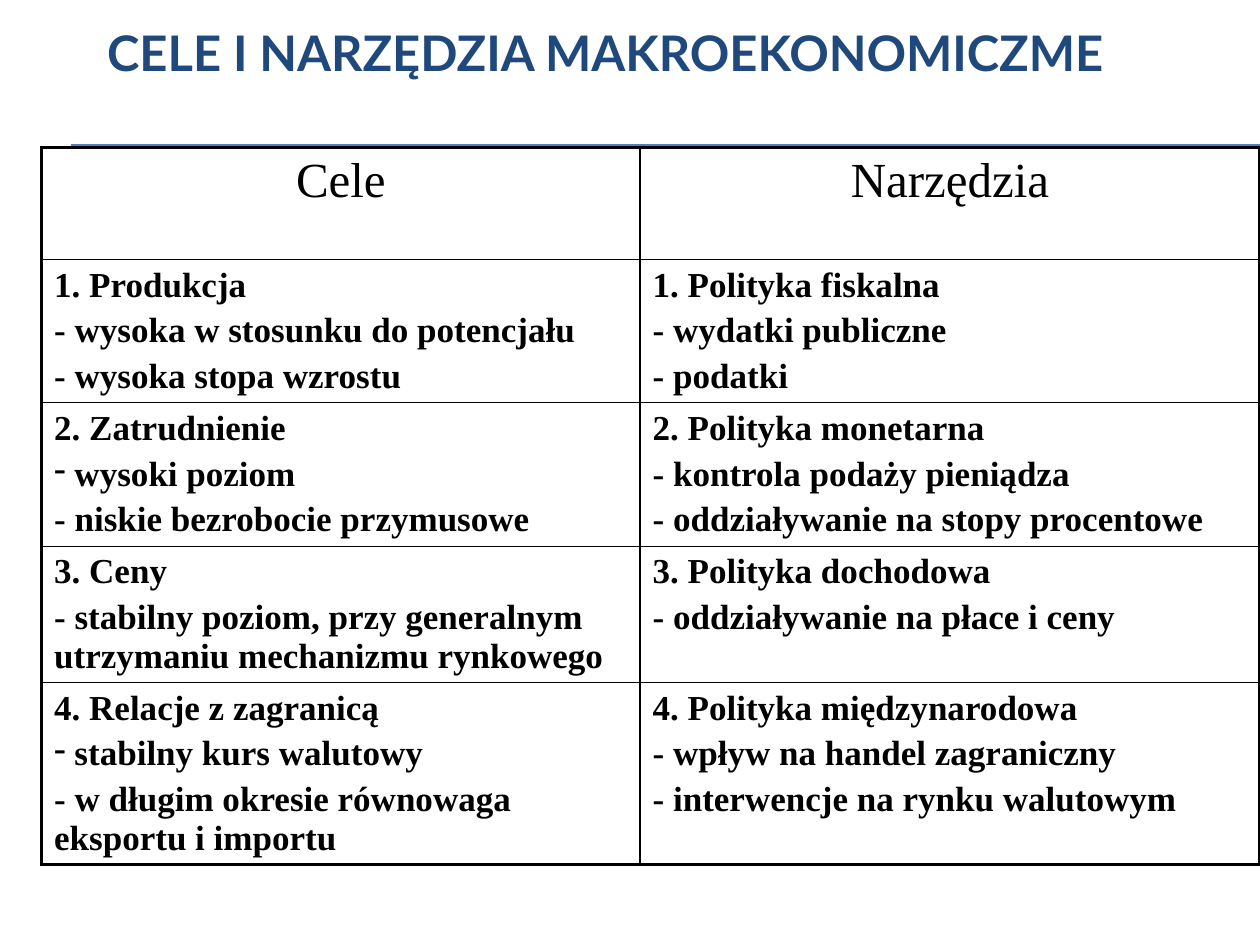
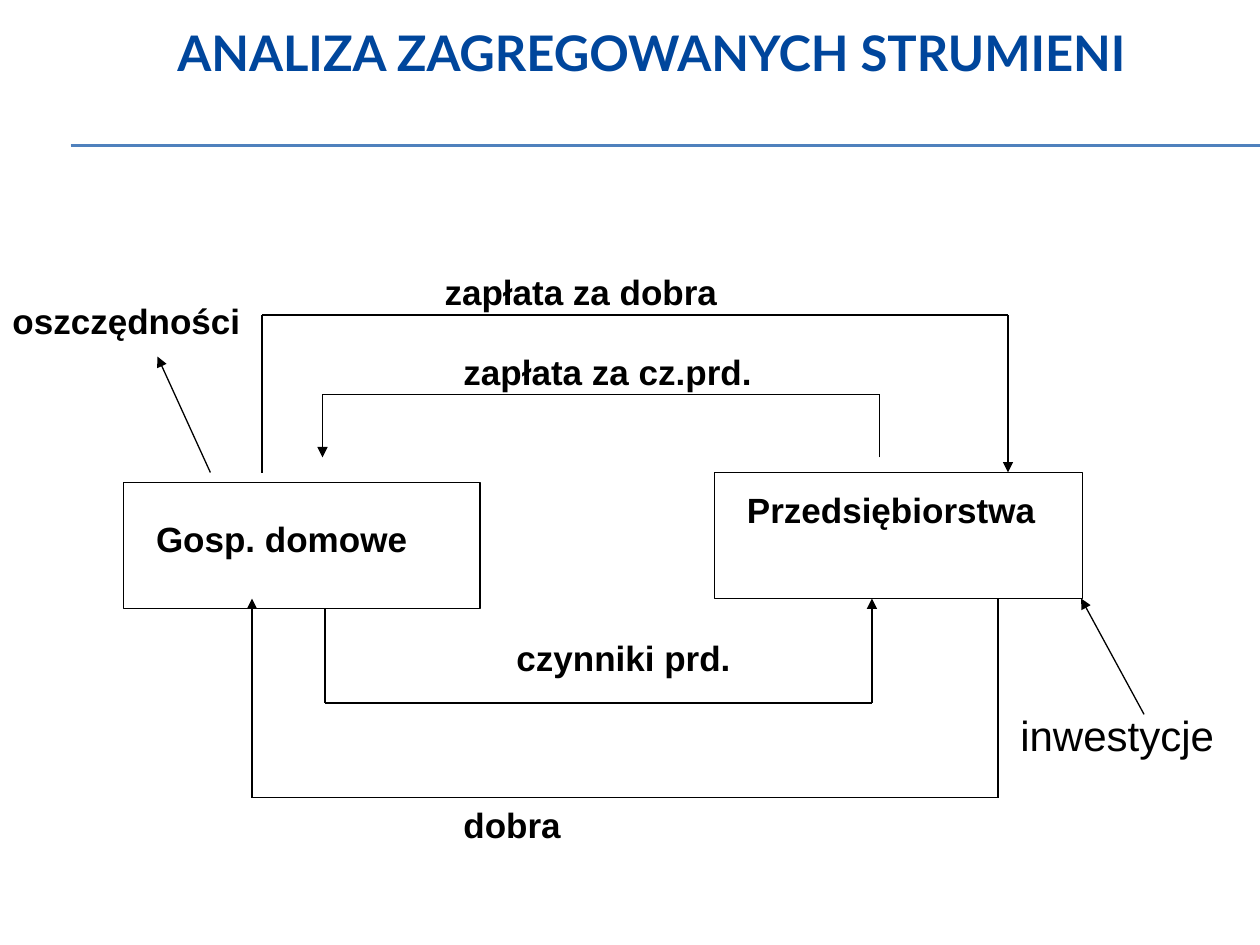
from itertools import pairwise

from lxml.etree import SubElement
from pptx import Presentation
from pptx.dml.color import RGBColor
from pptx.enum.shapes import MSO_CONNECTOR as CONNECTOR, MSO_SHAPE as SHAPE
from pptx.enum.text import MSO_ANCHOR as ANCHOR, PP_ALIGN as ALIGN
from pptx.oxml.ns import qn
from pptx.util import Inches, Pt

COLORS = {"ink": "000000", "rule": "4F81BD", "navy": "1F497D", "blue": "00469C"}


def add_text(paragraph, text, font, size, bold, color="ink"):
    run = paragraph.add_run()
    run.text = text
    run.font.name = font
    run.font.size = Pt(size)
    run.font.bold = bold
    run.font.color.rgb = RGBColor.from_string(COLORS[color])


def add_line(slide, start, end, color="ink", arrow=False):
    line = slide.shapes.add_connector(CONNECTOR.STRAIGHT, *map(Inches, start + end))
    line.line.color.rgb = RGBColor.from_string(COLORS[color])
    line.line.width = Pt(0.75)
    properties = line._element.spPr
    if arrow:
        SubElement(properties.find(qn("a:ln")), qn("a:tailEnd"), type="triangle")
    SubElement(properties, qn("a:effectLst"))
    return line


deck = Presentation()
deck.slide_width, deck.slide_height = Inches(10), Inches(7.5)
layout = deck.slide_layouts[5]

slides = []
for heading, left, color, align in (
    ("CELE I NARZĘDZIA MAKROEKONOMICZME", 0.75, "navy", ALIGN.LEFT),
    ("ANALIZA ZAGREGOWANYCH STRUMIENI", 0.92, "blue", ALIGN.CENTER),
):
    slide = deck.slides.add_slide(layout)
    title = slide.shapes.title
    title.left, title.top = Inches(left), Inches(0)
    title.width, title.height = Inches(8.5), Inches(0.83)
    title.text_frame.vertical_anchor = ANCHOR.MIDDLE
    paragraph = title.text_frame.paragraphs[0]
    paragraph.alignment = align
    add_text(paragraph, heading, "Lato", 28, True, color)
    slides.append(slide)
goals_slide, flows_slide = slides

for y in (1.15, 1.16):
    rule = add_line(goals_slide, (0.56, y), (10, y), "rule")
    layout.shapes._spTree.append(rule._element)

goals_and_tools = [
    (["Cele"], ["Narzędzia"]),
    (
        ["1. Produkcja", "- wysoka w stosunku do potencjału", "- wysoka stopa wzrostu"],
        ["1. Polityka fiskalna", "- wydatki publiczne", "- podatki"],
    ),
    (
        ["2. Zatrudnienie", " wysoki poziom", "- niskie bezrobocie przymusowe"],
        ["2. Polityka monetarna", "- kontrola podaży pieniądza",
         "- oddziaływanie na stopy procentowe"],
    ),
    (
        ["3. Ceny", "- stabilny poziom, przy generalnym utrzymaniu mechanizmu rynkowego"],
        ["3. Polityka dochodowa", "- oddziaływanie na płace i ceny"],
    ),
    (
        ["4. Relacje z zagranicą", " stabilny kurs walutowy",
         "- w długim okresie równowaga eksportu i importu"],
        ["4. Polityka międzynarodowa", "- wpływ na handel zagraniczny",
         "- interwencje na rynku walutowym"],
    ),
]
row_heights = [0.89, 1.13, 1.14, 1.08, 1.44]
column_widths = [4.75, 4.92]
last_row, last_column = len(row_heights) - 1, len(column_widths) - 1

table = goals_slide.shapes.add_table(
    len(row_heights), len(column_widths), Inches(0.33), Inches(1.17),
    Inches(sum(column_widths)), Inches(sum(row_heights)),
).table
table.first_row = table.horz_banding = False
for column, width in zip(table.columns, column_widths):
    column.width = Inches(width)

for r, (height, entries) in enumerate(zip(row_heights, goals_and_tools)):
    table.rows[r].height = Inches(height)
    header = r == 0
    size = 28 if header else 20
    for c, lines in enumerate(entries):
        cell = table.cell(r, c)
        for i, text in enumerate(lines):
            frame = cell.text_frame
            paragraph = frame.add_paragraph() if i else frame.paragraphs[0]
            paragraph.alignment = ALIGN.CENTER if header else ALIGN.LEFT
            paragraph.space_before = Pt(size * 0.2)
            if text.startswith(" "):
                SubElement(paragraph._p.get_or_add_pPr(), qn("a:buChar"), char="-")
            add_text(paragraph, text, "Times New Roman", size, not header)
        cell_properties = cell._tc.get_or_add_tcPr()
        outer_edges = {"L": c == 0, "R": c == last_column, "T": header, "B": r == last_row}
        for side, outer in outer_edges.items():
            border = SubElement(
                cell_properties, qn(f"a:ln{side}"), w=str(Pt(2.25 if outer else 1))
            )
            border_fill = SubElement(border, qn("a:solidFill"))
            SubElement(border_fill, qn("a:srgbClr"), val=COLORS["ink"])
        cell.fill.background()

for left, top, width in ((0.98, 3.83, 2.83), (5.67, 3.75, 2.92)):
    sector = flows_slide.shapes.add_shape(
        SHAPE.RECTANGLE, Inches(left), Inches(top), Inches(width), Inches(1)
    )
    sector.shadow.inherit = False
    sector.fill.background()
    sector.line.color.rgb = RGBColor.from_string(COLORS["ink"])
    sector.line.width = Pt(0.75)

flows = [
    [(2.58, 4.83), (2.58, 5.58), (6.92, 5.58), (6.92, 4.75)],
    [(6.98, 3.63), (6.98, 3.13), (2.56, 3.13), (2.56, 3.63)],
    [(7.92, 4.75), (7.92, 6.33), (2, 6.33), (2, 4.75)],
    [(2.08, 3.75), (2.08, 2.5), (8, 2.5), (8, 3.75)],
    [(1.67, 3.75), (1.25, 2.83)],
    [(9.08, 5.67), (8.58, 4.75)],
]
for flow in flows:
    for start, end in pairwise(flow):
        add_line(flows_slide, start, end, arrow=end == flow[-1])

labels = [
    ("Gosp. domowe", 1.14, 4.06, 2.67, 20, True),
    ("Przedsiębiorstwa", 5.83, 3.83, 2.67, 20, True),
    ("czynniki prd.", 4, 5, 2.18, 20, True),
    ("zapłata za cz.prd.", 3.58, 2.73, 2.75, 20, True),
    ("dobra", 3.58, 6.33, 2.33, 20, True),
    ("zapłata za dobra", 3.43, 2.1, 2.83, 20, True),
    ("oszczędności", 0, 2.33, 2.09, 20, True),
    ("inwestycje", 8, 5.58, 2, 24, False),
]
for text, left, top, width, size, bold in labels:
    label = flows_slide.shapes.add_textbox(
        Inches(left), Inches(top), Inches(width), Inches(0.5 if size == 24 else 0.44)
    )
    label.text_frame.word_wrap = True
    add_text(label.text_frame.paragraphs[0], text, "Arial", size, bold)

deck.save("out.pptx")
